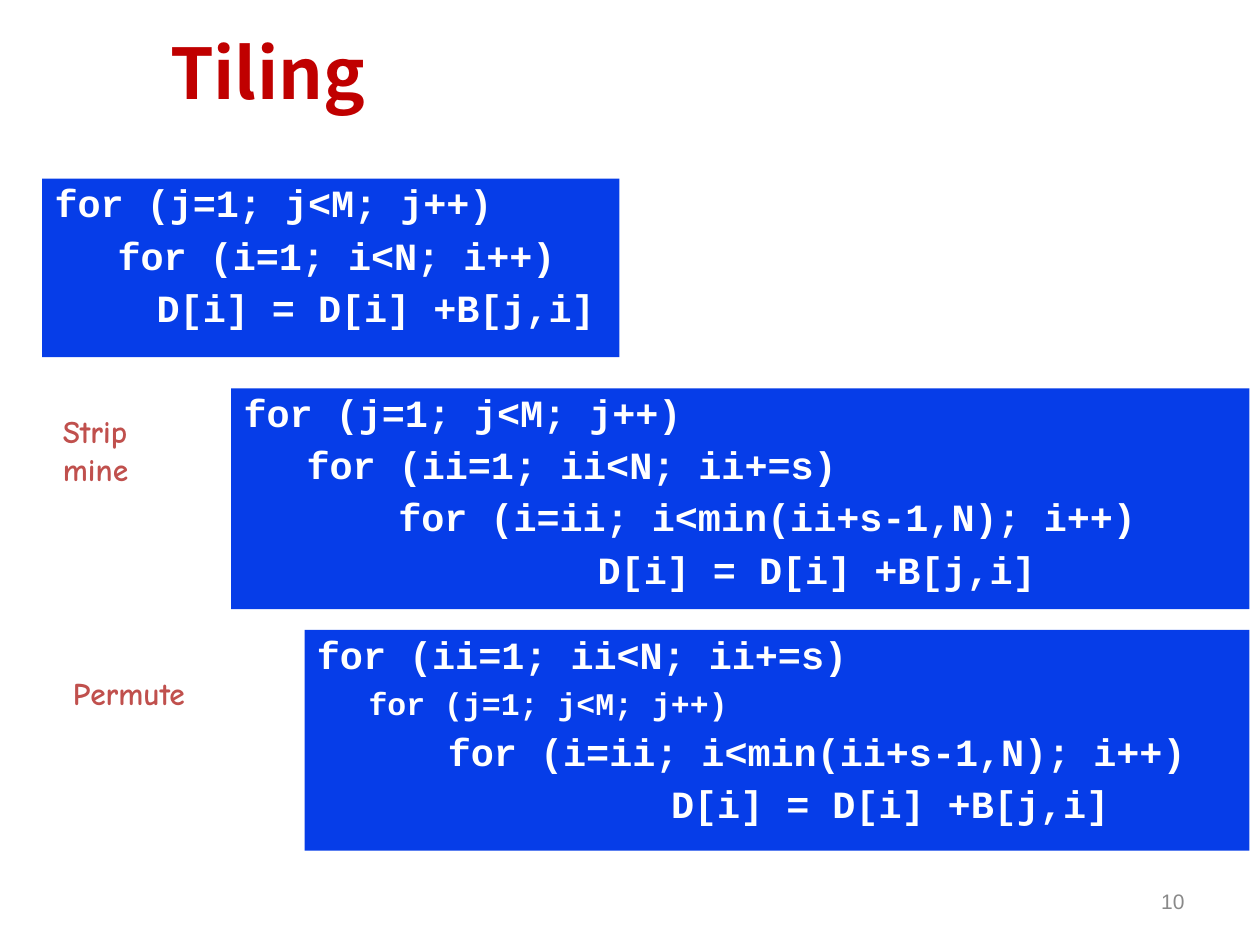
from pptx import Presentation
from pptx.dml.color import RGBColor
from pptx.enum.shapes import MSO_SHAPE
from pptx.enum.text import MSO_ANCHOR as Anchor, PP_ALIGN as Align
from pptx.util import Cm, Pt

RED = RGBColor(0xC0, 0x00, 0x00)
ROSE = RGBColor(0xC0, 0x50, 0x4D)
BLUE = RGBColor(0x06, 0x3D, 0xE8)
GREY = RGBColor(0x89, 0x89, 0x89)
WHITE = RGBColor(0xFF, 0xFF, 0xFF)

TITLE = {"name": "Noto Sans CJK KR", "size": Pt(40), "bold": True, "color": RED}
LABEL = {"name": "Comic Neue", "size": Pt(18), "bold": True, "color": ROSE}
NUMBER = {"name": "Arial", "size": Pt(12), "bold": False, "color": GREY}
CODE = {"name": "Courier New", "size": Pt(22), "bold": True, "color": WHITE}
SMALL_CODE = {**CODE, "size": Pt(18)}

# (left, top, width, height) in cm, lines, format, anchor, alignment
TEXTS = [
    ((3.18, 0, 21.74, 2.9), ["Tiling"], TITLE, Anchor.MIDDLE, Align.LEFT),
    ((1.02, 8.18, 2.59, 2.29), ["Strip", "mine"], LABEL, Anchor.TOP, Align.LEFT),
    ((1.22, 13.46, 3.81, 1.27), ["Permute"], LABEL, Anchor.TOP, Align.LEFT),
    ((18.21, 17.65, 5.92, 1.02), ["10"], NUMBER, Anchor.MIDDLE, Align.RIGHT),
]

# (left, top, width, height) in cm, then (indent in cm, code, format) per line
LOOPS = [
    ((0.85, 3.6, 11.64, 3.6), [
        (0, "for (j=1; j<M; j++)", CODE),
        (1.27, "for (i=1; i<N; i++)", CODE),
        (2.06, "D[i] = D[i] +B[j,i]", CODE),
    ]),
    ((4.66, 7.83, 20.53, 4.45), [
        (0, "for (j=1; j<M; j++)", CODE),
        (1.27, "for (ii=1; ii<N; ii+=s)", CODE),
        (3.12, "for (i=ii; i<min(ii+s-1,N); i++)", CODE),
        (7.14, "D[i] = D[i] +B[j,i]", CODE),
    ]),
    ((6.14, 12.7, 19.05, 4.45), [
        (0, "for (ii=1; ii<N; ii+=s)", CODE),
        (1.04, "for (j=1; j<M; j++)", SMALL_CODE),
        (2.64, "for (i=ii; i<min(ii+s-1,N); i++)", CODE),
        (7.14, "D[i] = D[i] +B[j,i]", CODE),
    ]),
]


def write_line(frame, index, text, style):
    """Write one paragraph in the given style and return it."""
    para = frame.paragraphs[0] if index == 0 else frame.add_paragraph()
    span = para.add_run()
    span.text = text
    for key, value in style.items():
        if key == "color":
            span.font.color.rgb = value
        else:
            setattr(span.font, key, value)
    return para


def add_text(page, place, lines, style, anchor, align):
    """Add a plain text box."""
    frame = page.shapes.add_textbox(*map(Cm, place)).text_frame
    frame.word_wrap = True
    frame.vertical_anchor = anchor
    for index, text in enumerate(lines):
        write_line(frame, index, text, style).alignment = align


def add_loop(page, place, lines):
    """Add a blue box holding an indented loop nest."""
    box = page.shapes.add_shape(MSO_SHAPE.RECTANGLE, *map(Cm, place))
    box.shadow.inherit = False
    box.fill.solid()
    box.fill.fore_color.rgb = BLUE
    box.line.fill.background()
    frame = box.text_frame
    frame.word_wrap = True
    frame.vertical_anchor = Anchor.TOP
    for index, (indent, text, style) in enumerate(lines):
        para = write_line(frame, index, text, style)
        para.alignment = Align.LEFT
        para.line_spacing = 0.9
        para.space_before = Pt(6 if index else 0)
        para._p.get_or_add_pPr().set("marL", str(Cm(indent)))


deck = Presentation()
deck.slide_width, deck.slide_height = Cm(25.4), Cm(19.05)
page = deck.slides.add_slide(deck.slide_layouts[6])
for text_box in TEXTS:
    add_text(page, *text_box)
for loop in LOOPS:
    add_loop(page, *loop)
deck.save("out.pptx")
